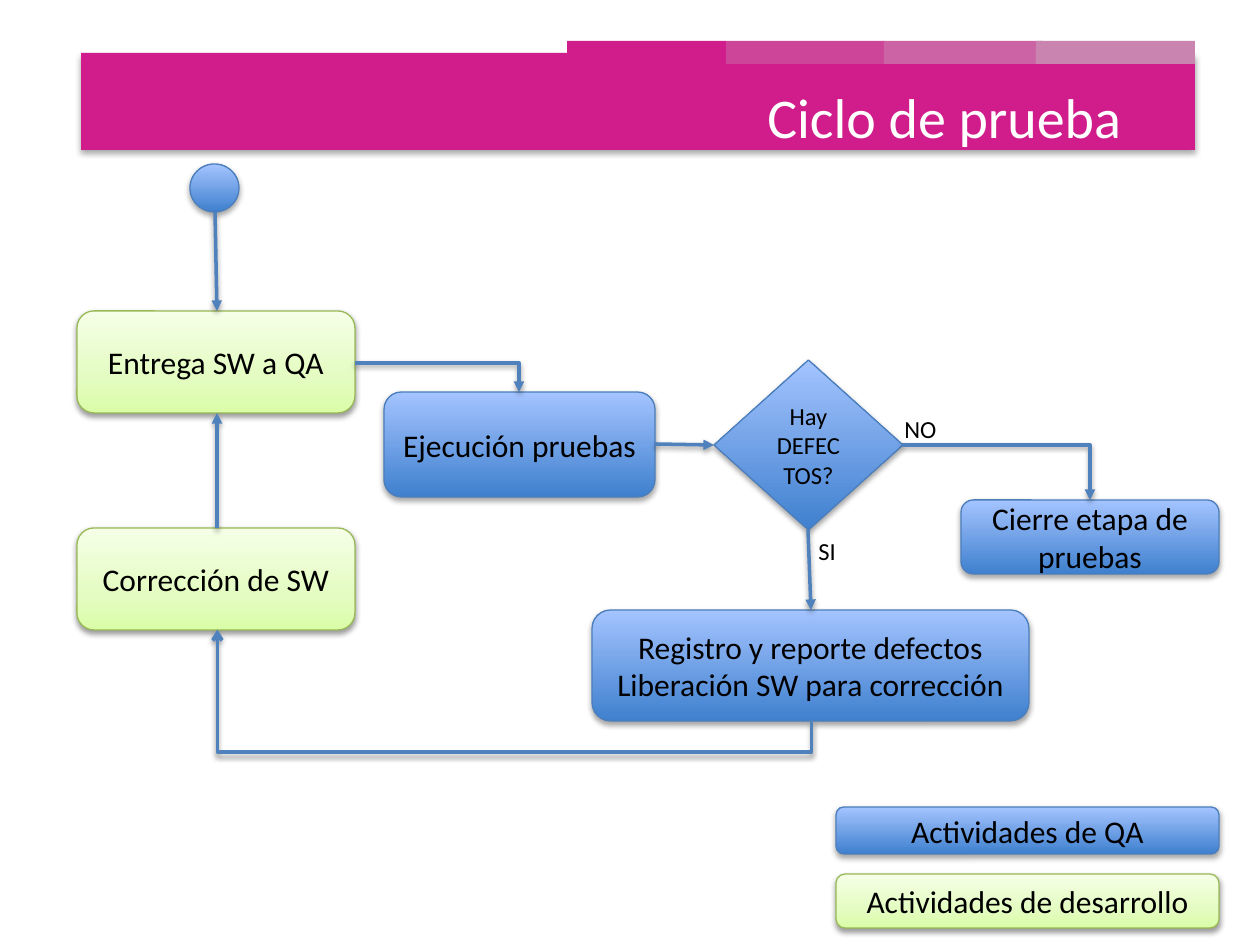
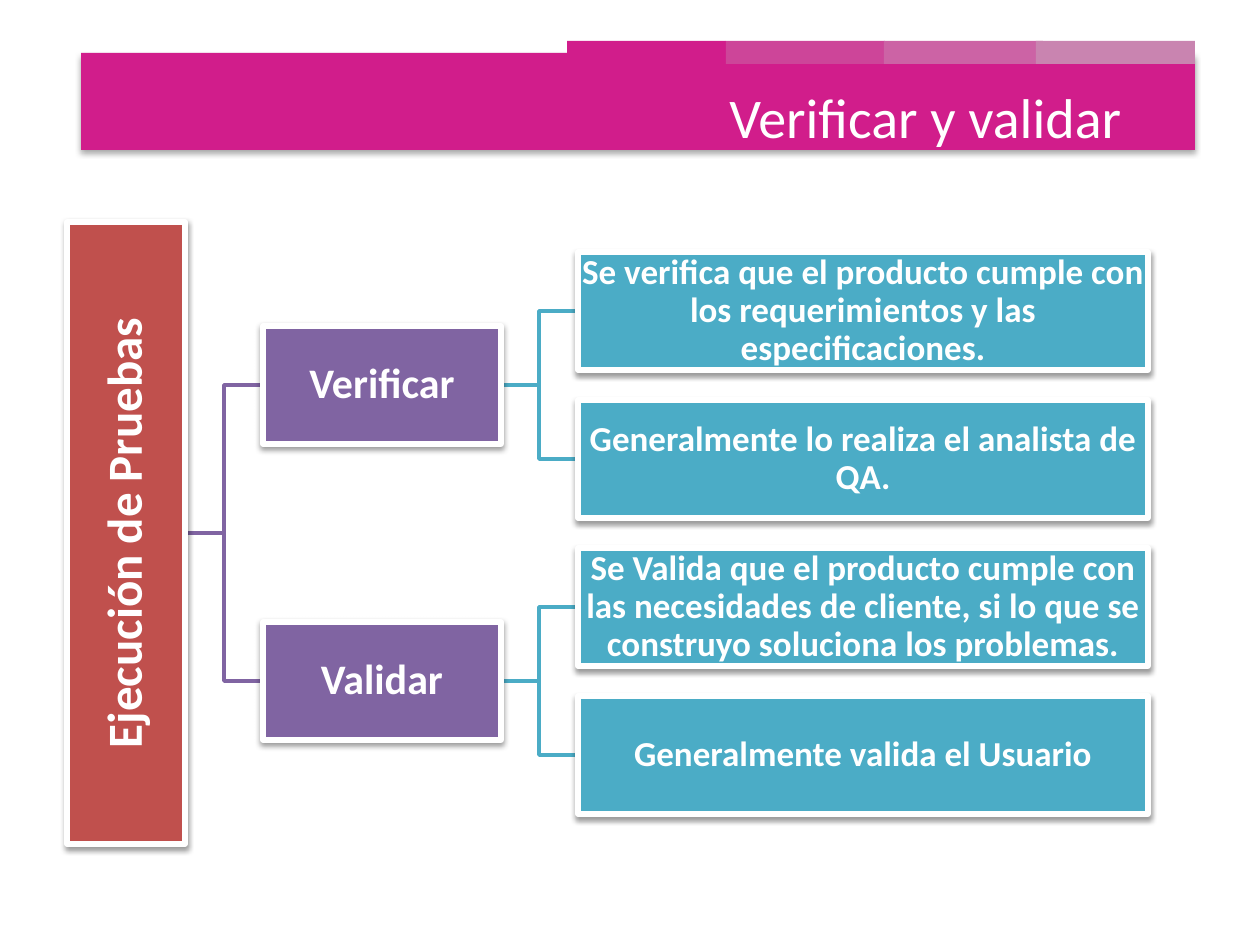
import dataclasses

import lxml.etree
import pptx
import pptx.dml.color
import pptx.enum.shapes
import pptx.enum.text
import pptx.oxml.ns
import pptx.util

PX = 914400 / 126
rgb = pptx.dml.color.RGBColor.from_string
qn = pptx.oxml.ns.qn
SHAPE = pptx.enum.shapes.MSO_SHAPE
CONNECTOR = pptx.enum.shapes.MSO_CONNECTOR
ALIGN = pptx.enum.text.PP_ALIGN
ANCHOR = pptx.enum.text.MSO_ANCHOR


@dataclasses.dataclass(frozen=True)
class Theme:
    font: str = "Calibri"
    ink: str = "000000"
    paper: str = "FFFFFF"
    band: str = "D11D8B"
    tabs: tuple = ("D11D8B", "CD4599", "CC63A5", "C984B0")
    qa: tuple = ((0, "3F80CE"), (100, "A4C4FF"))
    qa_edge: str = "4B7EBC"
    development: tuple = ((0, "DAFDA7"), (35, "E4FCC2"), (100, "F5FFE7"))
    development_edge: str = "98B955"
    arrow: str = "4F81BD"
    root: str = "C0504D"
    branch: str = "8064A2"
    leaf: str = "4BACC6"
    title_size: int = 32
    root_size: int = 28
    branch_size: int = 24
    leaf_size: int = 20
    step_size: int = 18
    label_size: int = 14


theme = Theme()


def write(shape, text, size, color=theme.ink, bold=False, align=ALIGN.CENTER,
          anchor=ANCHOR.MIDDLE, wrap=True, inset=None, spacing=None):
    frame = shape.text_frame
    frame.word_wrap = wrap
    frame.vertical_anchor = anchor
    if inset is not None:
        frame.margin_left = frame.margin_right = round(inset * PX)
        frame.margin_top = frame.margin_bottom = round(inset * PX)
    frame.text = text
    for paragraph in frame.paragraphs:
        paragraph.alignment = align
        paragraph.line_spacing = spacing
        paragraph.font.name = theme.font
        paragraph.font.size = pptx.util.Pt(size)
        paragraph.font.bold = bold
        paragraph.font.color.rgb = rgb(color)


def finish(drawn, edge=None, width=0.75, shadow=38):
    if edge:
        drawn.line.color.rgb = rgb(edge)
        drawn.line.width = pptx.util.Pt(width)
    else:
        drawn.line.fill.background()
    effects = lxml.etree.SubElement(drawn._element.spPr, qn("a:effectLst"))
    if shadow:
        cast = lxml.etree.SubElement(
            effects, qn("a:outerShdw"), blurRad="40000", dist="21500",
            dir="5400000", rotWithShape="0")
        tint = lxml.etree.SubElement(cast, qn("a:srgbClr"), val="000000")
        lxml.etree.SubElement(tint, qn("a:alpha"), val=str(shadow * 1000))


deck = pptx.Presentation()
deck.slide_width = round(1260 * PX)
deck.slide_height = round(945 * PX)

slides = []
for title in ("Ciclo de prueba", "Verificar y validar"):
    slide = deck.slides.add_slide(deck.slide_layouts[6])
    slides.append(slide)
    stripes = [(81, 53, 1114, 97, theme.band, 35)]
    stripes += [(left, 41, 159, 23, color, None)
                for left, color in zip((567, 726, 884, 1036), theme.tabs)]
    for *place, color, shadow in stripes:
        stripe = slide.shapes.add_shape(SHAPE.RECTANGLE, *[round(n * PX) for n in place])
        stripe.fill.solid()
        stripe.fill.fore_color.rgb = rgb(color)
        finish(stripe, shadow=shadow)
    heading = slide.shapes.add_textbox(0, round(38 * PX), round(1134 * PX), round(157 * PX))
    write(heading, title, theme.title_size, color=theme.paper, align=ALIGN.RIGHT)
cycle, checks = slides

qa = (theme.qa, theme.qa_edge, 35)
development = (theme.development, theme.development_edge, 38)
steps = [
    ("Entrega SW a QA", SHAPE.ROUNDED_RECTANGLE, (77, 311, 278, 102), development),
    ("Ejecución pruebas", SHAPE.ROUNDED_RECTANGLE, (384, 392, 271, 105), qa),
    ("Corrección de SW", SHAPE.ROUNDED_RECTANGLE, (77, 528, 278, 102), development),
    ("Registro y reporte defectos\nLiberación SW para corrección",
     SHAPE.ROUNDED_RECTANGLE, (592, 610, 437, 111), qa),
    ("Cierre etapa de pruebas", SHAPE.ROUNDED_RECTANGLE, (961, 500, 258, 74), qa),
    ("Hay DEFECTOS?", SHAPE.DIAMOND, (714, 360, 189, 170), qa),
    ("", SHAPE.OVAL, (190, 164, 49, 48), qa),
    ("Actividades de QA", SHAPE.ROUNDED_RECTANGLE, (836, 807, 383, 47), qa),
    ("Actividades de desarrollo", SHAPE.ROUNDED_RECTANGLE, (836, 874, 383, 54), development),
]
for text, outline, place, (stops, edge, shadow) in steps:
    step = cycle.shapes.add_shape(outline, *[round(n * PX) for n in place])
    step.fill.gradient()
    step.fill.gradient_angle = 90
    stop_list = step._element.spPr.find(".//" + qn("a:gsLst"))
    for old_stop in list(stop_list):
        stop_list.remove(old_stop)
    for position, color in stops:
        stop = lxml.etree.SubElement(stop_list, qn("a:gs"), pos=str(position * 1000))
        lxml.etree.SubElement(stop, qn("a:srgbClr"), val=color)
    finish(step, edge, shadow=shadow)
    if text:
        size = theme.label_size if outline == SHAPE.DIAMOND else theme.step_size
        write(step, text, size)

flows = [
    ("line", (215, 212, 217, 311)),
    ("line", (655, 444, 714, 445)),
    ("line", (217, 528, 217, 413)),
    ("line", (808, 530, 811, 610)),
    ("bentConnector2", (355, 363, 519, 392)),
    ("bentConnector2", (902, 445, 1090, 500)),
    ("bentConnector3", (560, 378, 469, 972)),
]
for course, ends in flows:
    kind = CONNECTOR.STRAIGHT if course == "line" else CONNECTOR.ELBOW
    flow = cycle.shapes.add_connector(kind, *[round(n * PX) for n in ends])
    properties = flow._element.spPr
    geometry = properties.find(qn("a:prstGeom"))
    geometry.set("prst", course)
    head = "triangle"
    if course == "bentConnector3":
        head = "arrow"
        properties.find(qn("a:xfrm")).set("rot", "5400000")
        lxml.etree.SubElement(geometry.find(qn("a:avLst")), qn("a:gd"),
                              name="adj1", fmla="val -34800")
    finish(flow, theme.arrow, width=2)
    lxml.etree.SubElement(properties.find(qn("a:ln")), qn("a:tailEnd"), type=head)

for answer, place in (("NO", (892, 408, 58, 43)), ("SI", (806, 530, 43, 43))):
    label = cycle.shapes.add_textbox(*[round(n * PX) for n in place])
    write(label, answer, theme.label_size, align=ALIGN.LEFT, anchor=ANCHOR.TOP, wrap=False)

topics = [
    ("Verificar", [
        "Se verifica que el producto cumple con los requerimientos y las especificaciones.",
        "Generalmente lo realiza el analista de QA."]),
    ("Validar", [
        "Se Valida que el producto cumple con las necesidades de cliente, "
        "si lo que se construyo soluciona los problemas.",
        "Generalmente valida el Usuario"]),
]
box_height, pitch, first_middle, root_middle = 118, 148, 311, 533
links = []
boxes = [("Ejecución de Pruebas", -185, root_middle, 622, theme.root, theme.root_size, 2, 270)]
for topic_index, (topic, details) in enumerate(topics):
    topic_middle = first_middle + pitch // 2 + topic_index * 2 * pitch
    links.append((185, root_middle, 263, topic_middle, theme.branch))
    boxes.append((topic, 263, topic_middle, 238, theme.branch, theme.branch_size, 2, 0))
    for detail_index, detail in enumerate(details):
        middle = first_middle + (topic_index * 2 + detail_index) * pitch
        links.append((501, topic_middle, 578, middle, theme.leaf))
        boxes.append((detail, 578, middle, 570, theme.leaf, theme.leaf_size, 1, 0))

for left, start, right, end, color in links:
    bend = (left + right) // 2
    builder = checks.shapes.build_freeform(left, start, scale=PX)
    builder.add_line_segments([(bend, start), (bend, end), (right, end)], close=False)
    link = builder.convert_to_shape()
    link.fill.background()
    finish(link, color, width=2, shadow=None)

for text, left, middle, width, color, size, inset, turn in boxes:
    place = (left, middle - box_height // 2, width, box_height)
    box = checks.shapes.add_shape(SHAPE.RECTANGLE, *[round(n * PX) for n in place])
    box.rotation = turn
    box.fill.solid()
    box.fill.fore_color.rgb = rgb(color)
    finish(box, theme.paper, width=3)
    write(box, text, size, color=theme.paper, bold=True, inset=inset, spacing=0.9)

deck.save("out.pptx")
